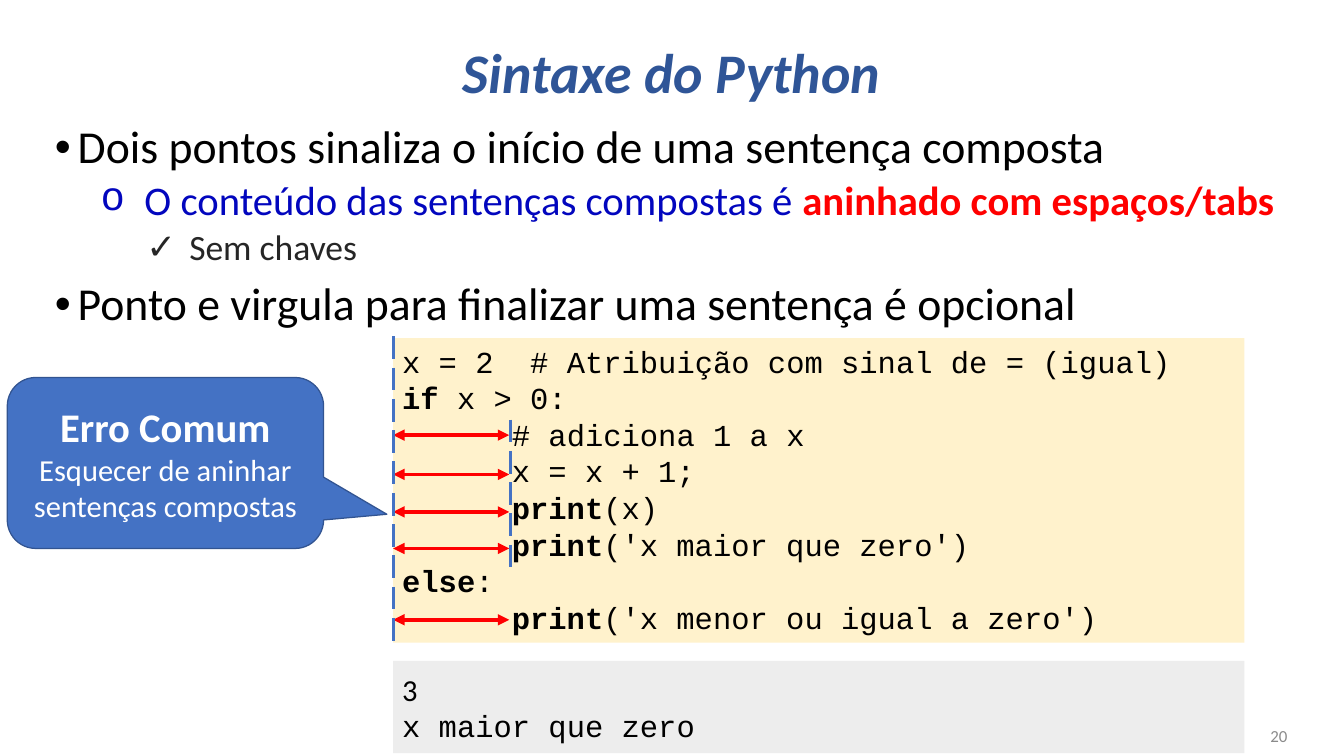
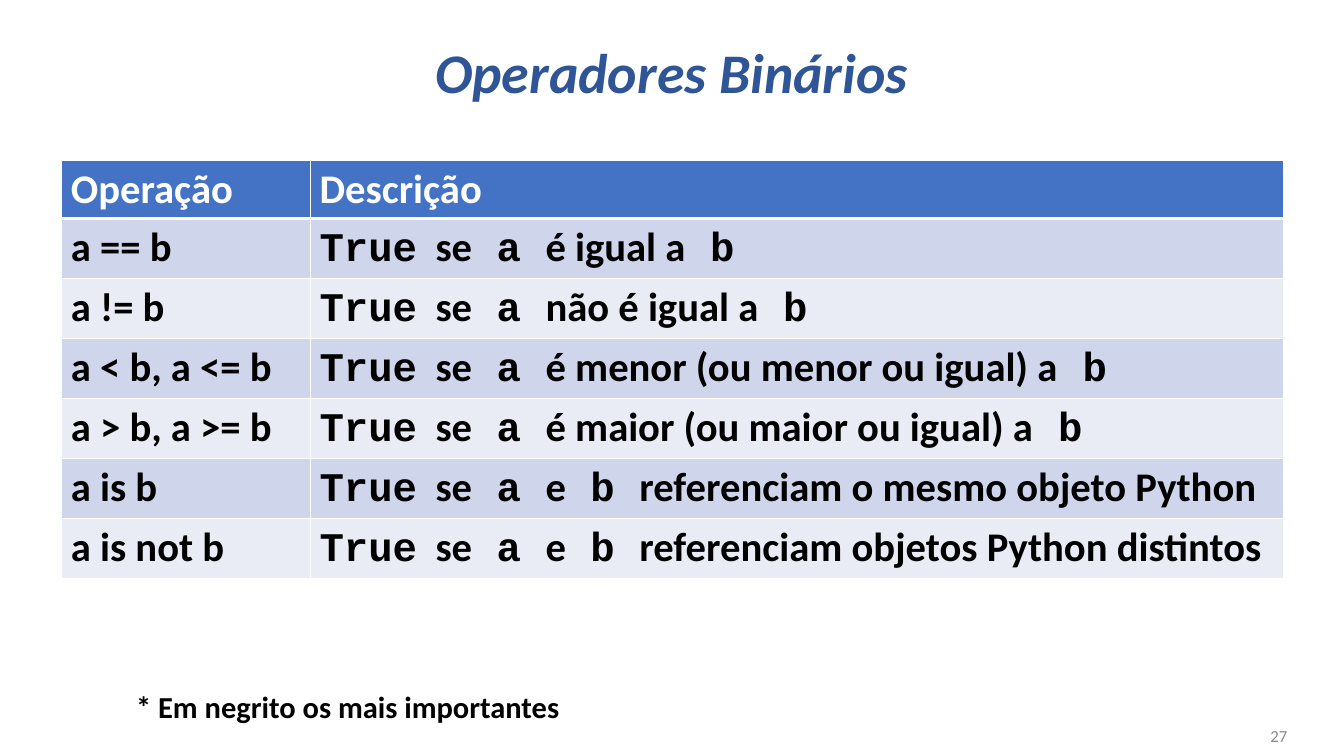
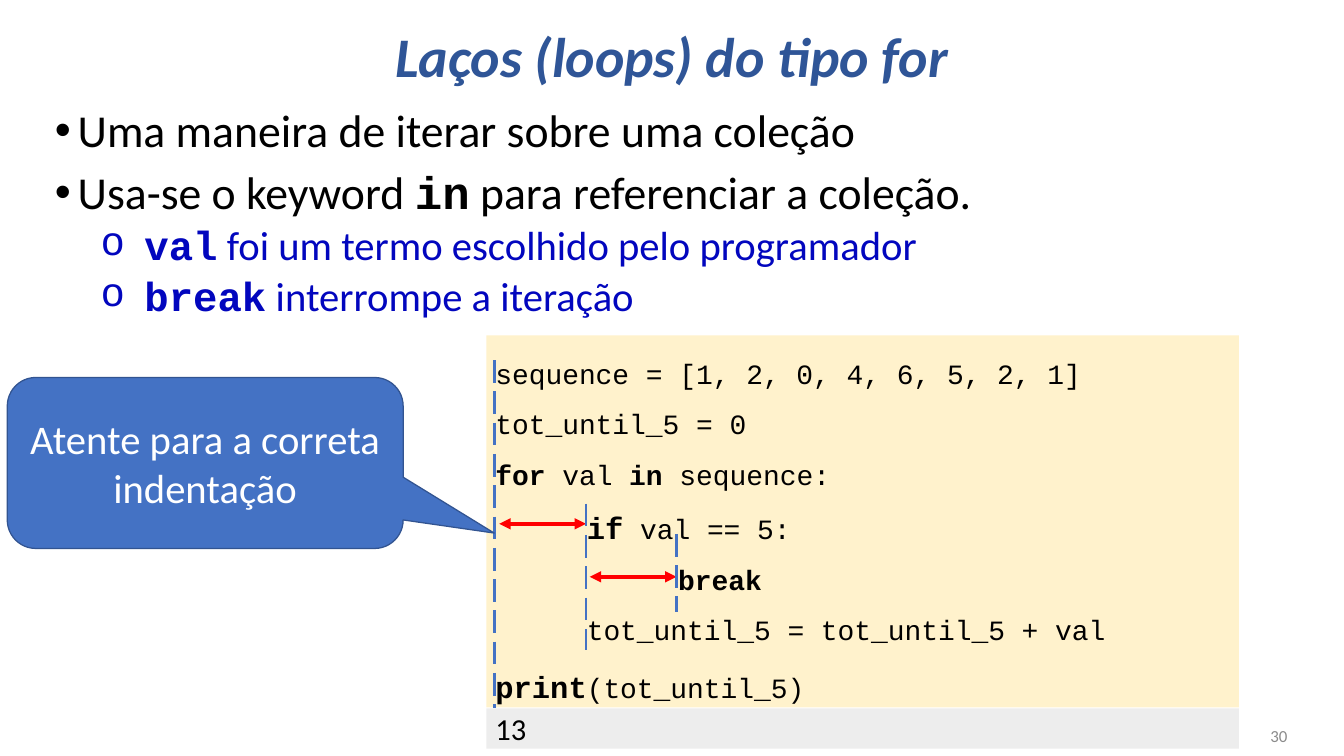
from collections import namedtuple

from lxml import etree
from pptx import Presentation
from pptx import util as u
from pptx.dml.color import RGBColor
from pptx.enum import dml, shapes, text
from pptx.oxml import ns

COLUMNS, ROWS = 147, 82.7
CELL = u.Inches(0.1)
SANS, MONO = "Calibri", "Courier New"
BLACK, WHITE, RED, BLUE, BLUE_EDGE = "000000", "FFFFFF", "FF0000", "4472C4", "325491"
TITLE_BLUE, LINK_BLUE, DARK, GREY = "2F5597", "0206BE", "262626", "8B8B8B"
CODE_FILL, OUTPUT_FILL = "FFF2CC", "EDEDED"
ROW_FILLS = ("E9EBF5", "CFD5EA")
TAB_STOPS = (10, 20)

Box = namedtuple("Box", "left top width height")
Level = namedtuple("Level", "bullet bullet_font margin hanging before size color")
LEVELS = (
    Level("•", "Arial", 0.25, 0.25, 10, 36, BLACK),
    Level("o", "Courier New", 0.98, 0.48, 5, 32, LINK_BLUE),
    Level("✓", "Arial", 1.47, 0.47, 5, 28, DARK),
)
BOLD = {"bold": True}
BOLD_MONO = {"bold": True, "name": MONO}
BOLD_RED = {"bold": True, "color": RED}
BIG_KEYWORD = {"bold": True, "size": 24}


def grid(value):
    return int(value * CELL)


def span(box):
    return [grid(value) for value in box]


def rgb(color):
    return RGBColor.from_string(color)


def style(font, size=None, color=None, name=None, bold=None, italic=None):
    if size:
        font.size = u.Pt(size)
    if color:
        font.color.rgb = rgb(color)
    if name:
        font.name = name
    if bold is not None:
        font.bold = bold
    if italic is not None:
        font.italic = italic


def write(paragraph, content, accent=BOLD, **base):
    style(paragraph.font, **base)
    for index, part in enumerate(content.split("|")):
        if part:
            run = paragraph.add_run()
            run.text = part
            if index % 2:
                style(run.font, **accent)


def paragraphs(frame, count):
    return [frame.paragraphs[0]] + [frame.add_paragraph() for _ in range(count - 1)]


def place(part, box):
    part.left, part.top, part.width, part.height = span(box)


def add_title(slide, heading, height):
    title = slide.shapes.title
    place(title, Box(10.1, 0.2, 126.8, height))
    frame = title.text_frame
    frame.auto_size = text.MSO_AUTO_SIZE.NONE
    frame.vertical_anchor = text.MSO_ANCHOR.MIDDLE
    paragraph = frame.paragraphs[0]
    paragraph.alignment = text.PP_ALIGN.CENTER
    paragraph.line_spacing = 0.9
    write(paragraph, heading, size=44, color=TITLE_BLUE, name=SANS, bold=True, italic=True)


def set_bullet(paragraph, level):
    properties = paragraph._p.get_or_add_pPr()
    properties.set("marL", str(u.Inches(level.margin)))
    properties.set("indent", str(-u.Inches(level.hanging)))
    etree.SubElement(properties, ns.qn("a:buFont")).set("typeface", level.bullet_font)
    etree.SubElement(properties, ns.qn("a:buChar")).set("char", level.bullet)


def set_tabs(paragraph):
    stops = etree.SubElement(paragraph._p.get_or_add_pPr(), ns.qn("a:tabLst"))
    for position in TAB_STOPS:
        stop = etree.SubElement(stops, ns.qn("a:tab"))
        stop.set("pos", str(grid(position)))
        stop.set("algn", "l")


def add_topics(slide, box, topics, accent):
    body = slide.placeholders[1]
    place(body, box)
    frame = body.text_frame
    frame.auto_size = text.MSO_AUTO_SIZE.NONE
    rows = paragraphs(frame, len(topics))
    for row, (depth, topic) in zip(rows, topics):
        level = LEVELS[depth]
        row.level = depth
        row.line_spacing = 0.9
        row.space_before = u.Pt(0 if row is rows[0] else level.before)
        set_bullet(row, level)
        write(row, topic, accent, size=level.size, color=level.color, name=SANS)


def add_page_number(slide, number):
    footer = slide.shapes.add_textbox(*span(Box(108.7, 78.3, 33.1, 4.4)))
    frame = footer.text_frame
    frame.word_wrap = True
    frame.vertical_anchor = text.MSO_ANCHOR.MIDDLE
    frame.paragraphs[0].alignment = text.PP_ALIGN.RIGHT
    write(frame.paragraphs[0], str(number), size=13.3, color=GREY, name=SANS)


def add_panel(slide, kind, box, fill, anchor, edge=None):
    panel = slide.shapes.add_shape(kind, *span(box))
    panel.shadow.inherit = False
    panel.fill.solid()
    panel.fill.fore_color.rgb = rgb(fill)
    if edge:
        panel.line.color.rgb = rgb(edge)
        panel.line.width = u.Pt(1)
    else:
        panel.line.fill.background()
    panel.text_frame.word_wrap = True
    panel.text_frame.vertical_anchor = anchor
    return panel


def add_code(slide, box, lines, size, spacing, last_gap=0):
    panel = add_panel(slide, shapes.MSO_SHAPE.RECTANGLE, box, CODE_FILL, text.MSO_ANCHOR.TOP)
    rows = paragraphs(panel.text_frame, len(lines))
    for row, (line, accent) in zip(rows, lines):
        row.alignment = text.PP_ALIGN.LEFT
        row.line_spacing = spacing
        if row is rows[-1] and last_gap:
            row.space_before = u.Pt(last_gap)
        set_tabs(row)
        write(row, line, accent, size=size, color=BLACK, name=MONO)


def add_output(slide, box, lines):
    panel = add_panel(slide, shapes.MSO_SHAPE.RECTANGLE, box, OUTPUT_FILL, text.MSO_ANCHOR.MIDDLE)
    for row, (line, name) in zip(paragraphs(panel.text_frame, len(lines)), lines):
        row.alignment = text.PP_ALIGN.LEFT
        write(row, line, size=24, color=BLACK, name=name)


def add_callout(slide, width, pointer, lines):
    box = Box(0.8, 41.3, width, 18.7)
    callout = add_panel(slide, shapes.MSO_SHAPE.ROUNDED_RECTANGULAR_CALLOUT, box, BLUE,
                        text.MSO_ANCHOR.MIDDLE, BLUE_EDGE)
    callout.adjustments[0], callout.adjustments[1] = pointer
    for row, (line, size, bold) in zip(paragraphs(callout.text_frame, len(lines)), lines):
        row.alignment = text.PP_ALIGN.CENTER
        write(row, line, size=size, color=WHITE, name=SANS, bold=bold)


def add_line(slide, start, end, color, width):
    line = slide.shapes.add_connector(shapes.MSO_CONNECTOR.STRAIGHT,
                                      *(grid(value) for value in start + end))
    line.line.color.rgb = rgb(color)
    line.line.width = u.Pt(width)
    etree.SubElement(line._element.spPr, ns.qn("a:effectLst"))
    return line


def add_indent_marks(slide, box, arrows, guides):
    for left, right, row in arrows:
        y = box.top + row
        arrow = add_line(slide, (box.left + left, y), (box.left + right, y), RED, 3)
        outline = arrow.line._get_or_add_ln()
        for end in ("a:headEnd", "a:tailEnd"):
            etree.SubElement(outline, ns.qn(end)).set("type", "triangle")
    for column, top, bottom in guides:
        x = box.left + column
        guide = add_line(slide, (x, box.top + top), (x, box.top + bottom), BLUE, 2.25)
        guide.line.dash_style = dml.MSO_LINE.LONG_DASH


def underline_header(cell):
    border = etree.SubElement(cell._tc.get_or_add_tcPr(), ns.qn("a:lnB"))
    border.set("w", str(u.Pt(3)))
    fill = etree.SubElement(border, ns.qn("a:solidFill"))
    etree.SubElement(fill, ns.qn("a:srgbClr")).set("val", WHITE)


def add_operators(slide, box, operators):
    table = slide.shapes.add_table(len(operators), 2, *span(box)).table
    key_width, header_height = 27.2, 6.4
    row_height = (box.height - header_height) / (len(operators) - 1)
    table.columns[0].width = grid(key_width)
    table.columns[1].width = grid(box.width - key_width)
    for index, entries in enumerate(operators):
        table.rows[index].height = grid(row_height if index else header_height)
        for column, entry in enumerate(entries):
            cell = table.cell(index, column)
            if index == 0:
                underline_header(cell)
            cell.fill.solid()
            cell.fill.fore_color.rgb = rgb(ROW_FILLS[index % 2] if index else BLUE)
            write(cell.text_frame.paragraphs[0], entry, {"name": MONO}, size=32,
                  color=BLACK if index else WHITE, name=SANS, bold=True)


def add_footnote(slide, box, note):
    footnote = slide.shapes.add_textbox(*span(box))
    footnote.text_frame.word_wrap = False
    write(footnote.text_frame.paragraphs[0], note, size=24, color=BLACK, name=SANS, bold=True)


def start_slide(deck, layout, heading, number, title_height=16):
    slide = deck.slides.add_slide(deck.slide_layouts.get_by_name(layout))
    add_title(slide, heading, title_height)
    add_page_number(slide, number)
    return slide


def syntax_slide(deck):
    slide = start_slide(deck, "Title and Content", "Sintaxe do Python", 20)
    add_topics(slide, Box(5, 13.1, 137.8, 68.1), [
        (0, "Dois pontos sinaliza o início de uma sentença composta"),
        (1, "O conteúdo das sentenças compostas é |aninhado com espaços/tabs|"),
        (2, "Sem chaves"),
        (0, "Ponto e virgula para finalizar uma sentença é opcional"),
    ], BOLD_RED)
    code = Box(43, 37, 93.1, 33.3)
    lines = [
        "x = 2  # Atribuição com sinal de = (igual)",
        "|if| x > 0:",
        "      # adiciona 1 a x",
        "      x = x + 1;",
        "      |print|(x)",
        "      |print|('x maior que zero')",
        "|else|:",
        "      |print|('x menor ou igual a zero')",
    ]
    add_code(slide, code, [(line, BOLD) for line in lines], 24, 1.0)
    add_output(slide, Box(code.left, 72.3, code.width, 10.1),
               [("3", SANS), ("x maior que zero", MONO)])
    add_indent_marks(slide, code,
                     [(0, 12.7, row) for row in (10.6, 14.9, 19, 23, 30.8)],
                     [(0, -0.2, 33.3), (12.8, 8.9, 25.2)])
    add_callout(slide, 34.6, (0.7, 0.3), [
        ("Erro Comum", 32, True),
        ("Esquecer de aninhar sentenças compostas", 24, False),
    ])


def operators_slide(deck):
    slide = start_slide(deck, "Title Only", "Operadores Binários", 27)
    meanings = [
        ("a == b", "é igual a| b|"),
        ("a != b", "não é igual a| b|"),
        ("a < b, a <= b", "é menor (ou menor ou igual) a| b|"),
        ("a > b, a >= b", "é maior (ou maior ou igual) a| b|"),
        ("a is b", "e| b |referenciam o mesmo objeto Python"),
        ("a is not b", "e| b |referenciam objetos Python distintos"),
    ]
    add_operators(slide, Box(6.75, 17.5, 133.6, 45.76), [("Operação", "Descrição")] + [
        (operation, "|True|  se| a |" + meaning) for operation, meaning in meanings
    ])
    add_footnote(slide, Box(13.9, 74.8, 48.8, 5), "* Em negrito os mais importantes")


def loops_slide(deck):
    slide = start_slide(deck, "Title and Content", "Laços (loops) do tipo for", 30, 12.6)
    add_topics(slide, Box(5, 11.3, 135.3, 69.9), [
        (0, "Uma maneira de iterar sobre uma coleção"),
        (0, "Usa-se o keyword |in| para referenciar a coleção."),
        (1, "|val| foi um termo escolhido pelo programador"),
        (1, "|break| interrompe a iteração"),
    ], BOLD_MONO)
    code = Box(53.2, 36.7, 82.3, 40.7)
    add_code(slide, code, [
        ("sequence = [1, 2, 0, 4, 6, 5, 2, 1]", BOLD),
        ("tot_until_5 = 0", BOLD),
        ("|for| val |in| sequence:", BOLD),
        ("\t|if| val == 5:", BIG_KEYWORD),
        ("\t\t|break|", BOLD),
        ("\ttot_until_5 = tot_until_5 + val", BOLD),
        ("|print|(tot_until_5)", BIG_KEYWORD),
    ], 22, 1.5, last_gap=3)
    add_output(slide, Box(code.left, 77.5, code.width, 4.4), [("13", SANS)])
    add_indent_marks(slide, code,
                     [(1.4, 10.9, 20.6), (11.3, 20.8, 26.4)],
                     [(0.9, 2.7, 40.7), (10.9, 18.4, 34.4), (20.8, 21.7, 30.2)])
    add_callout(slide, 43.3, (0.73, 0.41), [("Atente para a correta indentação", 32, False)])


def main():
    deck = Presentation()
    deck.slide_width, deck.slide_height = grid(COLUMNS), grid(ROWS)
    syntax_slide(deck)
    operators_slide(deck)
    loops_slide(deck)
    deck.save("out.pptx")


if __name__ == "__main__":
    main()
